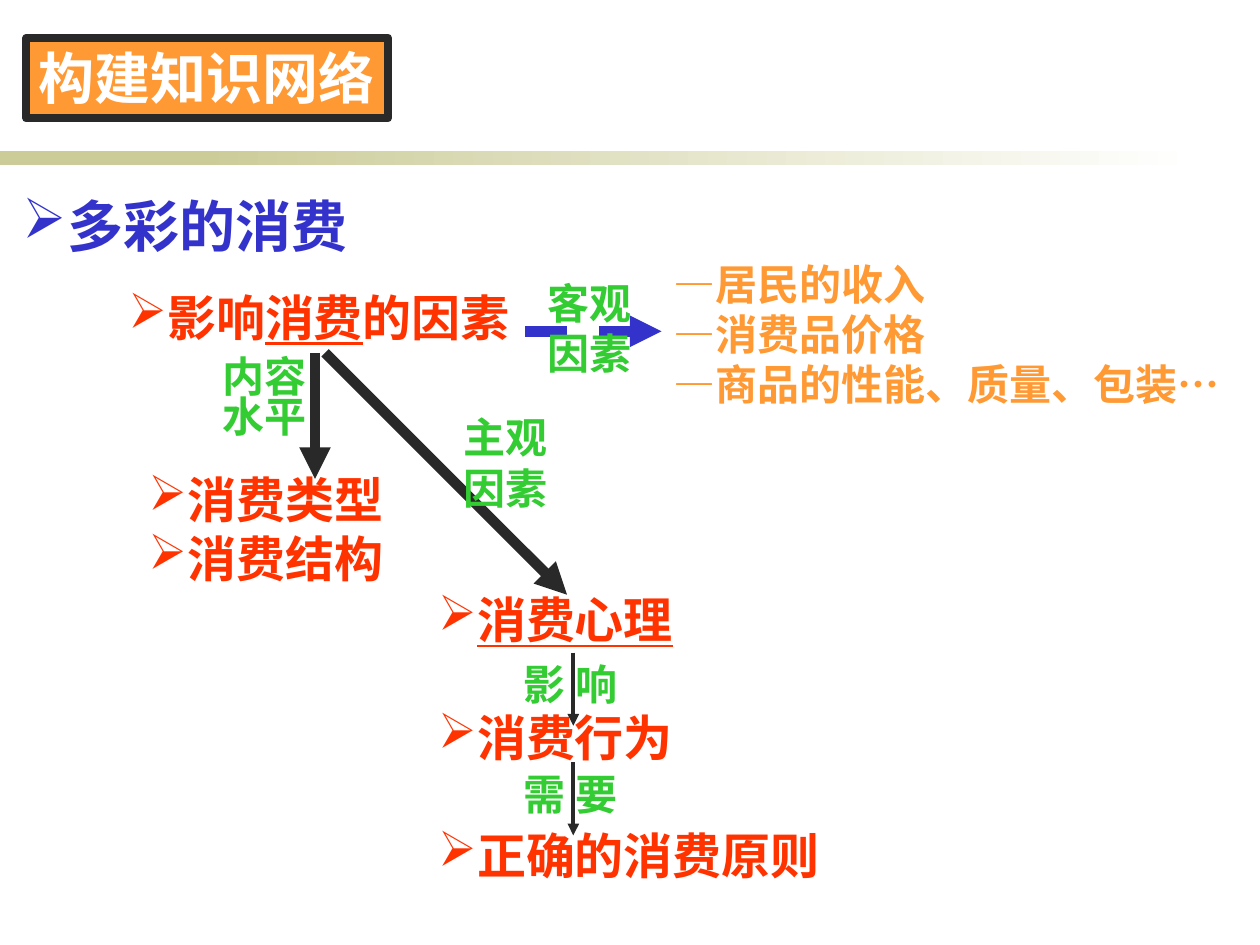
from dataclasses import dataclass

from lxml.etree import SubElement
from pptx import Presentation
from pptx.dml.color import RGBColor
from pptx.enum.dml import MSO_LINE
from pptx.enum.shapes import MSO_CONNECTOR, MSO_SHAPE
from pptx.enum.text import MSO_ANCHOR, MSO_AUTO_SIZE, PP_ALIGN
from pptx.oxml.ns import qn
from pptx.util import Inches, Pt

COLUMNS, ROWS = 100, 75
SLIDE_WIDTH, SLIDE_HEIGHT = Inches(10), Inches(7.5)
COLUMN, ROW = SLIDE_WIDTH / COLUMNS, SLIDE_HEIGHT / ROWS

INK = RGBColor(0x29, 0x29, 0x29)
WHITE = RGBColor(0xFF, 0xFF, 0xFF)
OLIVE = RGBColor(0xCC, 0xCC, 0x99)
ORANGE = RGBColor(0xFF, 0x99, 0x33)
RED = RGBColor(0xFF, 0x33, 0x00)
BLUE = RGBColor(0x33, 0x33, 0xCC)
GREEN = RGBColor(0x33, 0xCC, 0x33)

SANS, SERIF, CJK = "Arial", "Times New Roman", "Noto Sans CJK SC"


@dataclass
class Box:
    """A region measured in grid columns and rows."""
    left: float
    top: float
    width: float
    height: float

    def area(self, left, top, width, height):
        return Box(self.left + left, self.top + top, width, height)

    def point(self, x, y):
        return round((self.left + x) * COLUMN), round((self.top + y) * ROW)

    def emu(self):
        return (*self.point(0, 0), round(self.width * COLUMN), round(self.height * ROW))


def add_run(paragraph, wording, size, color, font=CJK, underline=False):
    run = paragraph.add_run()
    run.text = wording
    run.font.size, run.font.bold, run.font.name = Pt(size), True, font
    run.font.underline = underline
    run.font.color.rgb = color
    SubElement(run.font._element, qn("a:ea")).set("typeface", CJK)


def add_bullet(paragraph, color):
    properties = paragraph._p.get_or_add_pPr()
    bullet_color = SubElement(properties, qn("a:buClr"))
    SubElement(bullet_color, qn("a:srgbClr")).set("val", str(color))
    SubElement(properties, qn("a:buChar")).set("char", "➢")


def add_text(slide, box, lines, size, color, font=CJK, bullet=False, gap=0, spacing=None):
    """Each line is a list of (wording, run options) pairs."""
    frame = slide.shapes.add_textbox(*box.emu()).text_frame
    frame.word_wrap = True
    frame.auto_size = MSO_AUTO_SIZE.SHAPE_TO_FIT_TEXT
    for index, line in enumerate(lines):
        paragraph = frame.add_paragraph() if index else frame.paragraphs[0]
        if index and gap:
            paragraph.space_before = Pt(gap)
        if spacing:
            paragraph.line_spacing = spacing
        if bullet:
            add_bullet(paragraph, color)
        for wording, options in line:
            add_run(paragraph, wording, size, color, **{"font": font, **options})


def plain(*wordings):
    return [[(wording, {})] for wording in wordings]


def add_arrow(slide, start, end, color=INK, width=6, dash=None):
    arrow = slide.shapes.add_connector(MSO_CONNECTOR.STRAIGHT, *start, *end)
    arrow.line.color.rgb, arrow.line.width = color, Pt(width)
    if dash:
        arrow.line.dash_style = dash
    SubElement(arrow.line._get_or_add_ln(), qn("a:tailEnd")).set("type", "triangle")
    SubElement(arrow._element.spPr, qn("a:effectLst"))


def add_rectangle(slide, box):
    rectangle = slide.shapes.add_shape(MSO_SHAPE.RECTANGLE, *box.emu())
    rectangle.shadow.inherit = False
    rectangle.line.fill.background()
    return rectangle


def draw_rule(slide, box):
    solid = add_rectangle(slide, box.area(0, 0, 23.3, box.height))
    solid.fill.solid()
    solid.fill.fore_color.rgb = OLIVE
    fade = add_rectangle(slide, box.area(15.8, 0, box.width - 15.8, box.height))
    fade.fill.gradient()
    fade.fill.gradient_angle = 0
    for stop, color, position in zip(fade.fill.gradient_stops, (OLIVE, WHITE), (0, 1)):
        stop.color.rgb, stop.position = color, position


def draw_title(slide, box):
    title = add_rectangle(slide, box)
    title.fill.solid()
    title.fill.fore_color.rgb = ORANGE
    title.line.color.rgb, title.line.width = INK, Pt(4.5)
    frame = title.text_frame
    frame.word_wrap = False
    frame.auto_size = MSO_AUTO_SIZE.SHAPE_TO_FIT_TEXT
    frame.vertical_anchor = MSO_ANCHOR.TOP
    frame.paragraphs[0].alignment = PP_ALIGN.LEFT
    add_run(frame.paragraphs[0], "构建知识网络", 32, WHITE, SERIF)


def draw_topic(slide, box):
    add_text(slide, box.area(0, 0, box.width, 6.4), plain("多彩的消费"), 32, BLUE, SANS, bullet=True)
    factors = [[("影响", {}), ("消费", {"underline": True}), ("的因素", {})]]
    add_text(slide, box.area(8.4, 7.6, 36.7, 5.7), factors, 28, RED, bullet=True)


def draw_content_branch(slide, box):
    add_text(slide, box.area(0, 8.8, box.width, 10.4), plain("消费类型", "消费结构"), 28, RED, bullet=True)
    add_arrow(slide, box.point(14.2, 0), box.point(14.2, 10))
    add_text(slide, box.area(5.9, 0.1, 13.3, 7.4), plain("内容", "水平"), 24, GREEN, SANS, spacing=0.8)


def draw_objective_branch(slide, box):
    add_arrow(slide, box.point(0, 6.3), box.point(10.8, 6.3), BLUE, dash=MSO_LINE.DASH)
    add_text(slide, box.area(0.8, 1.5, 10, 9), plain("客观因素"), 24, GREEN, SANS)
    dash, dots = ("—", {"font": SERIF}), ("…", {"font": SERIF})
    causes = [[dash, *line] for line in plain("居民的收入", "消费品价格", "商品的性能、质量、包装")]
    causes[-1].append(dots)
    add_text(slide, box.area(10.8, 0, box.width - 10.8, box.height), causes, 24, ORANGE)


def draw_subjective_branch(slide, box):
    add_arrow(slide, box.point(0, 0), box.point(box.width, box.height))
    add_text(slide, box.area(10, 4.2, 10, 9), plain("主观因素"), 24, GREEN, SANS)


def draw_psychology_chain(slide, box):
    steps = [[("消费心理", {"underline": True})], *plain("消费行为", "正确的消费原则")]
    add_text(slide, box, steps, 28, RED, bullet=True, gap=33.7)
    for index, link in enumerate(("影 响", "需 要")):
        top = 5.5 + index * 8.7
        add_arrow(slide, box.point(11.7, top), box.point(11.7, top + 5.8), width=2.25)
        add_text(slide, box.area(6.8, top, 10.8, 5), plain(link), 24, GREEN)


def main():
    presentation = Presentation()
    presentation.slide_width, presentation.slide_height = SLIDE_WIDTH, SLIDE_HEIGHT
    slide = presentation.slides.add_slide(presentation.slide_layouts[6])
    draw_rule(slide, Box(0, 12, 95, 1.1))
    draw_title(slide, Box(2.1, 3, 28.7, 6.4))
    draw_topic(slide, Box(0.8, 14.7, 30.8, 13.3))
    draw_content_branch(slide, Box(10.8, 28, 25, 19.2))
    draw_psychology_chain(slide, Box(33.8, 46.3, 33.7, 24.4))
    draw_subjective_branch(slide, Box(25.8, 28, 19.2, 19.2))
    draw_objective_branch(slide, Box(41.7, 20, 58.3, 13))
    presentation.save("out.pptx")


if __name__ == "__main__":
    main()
